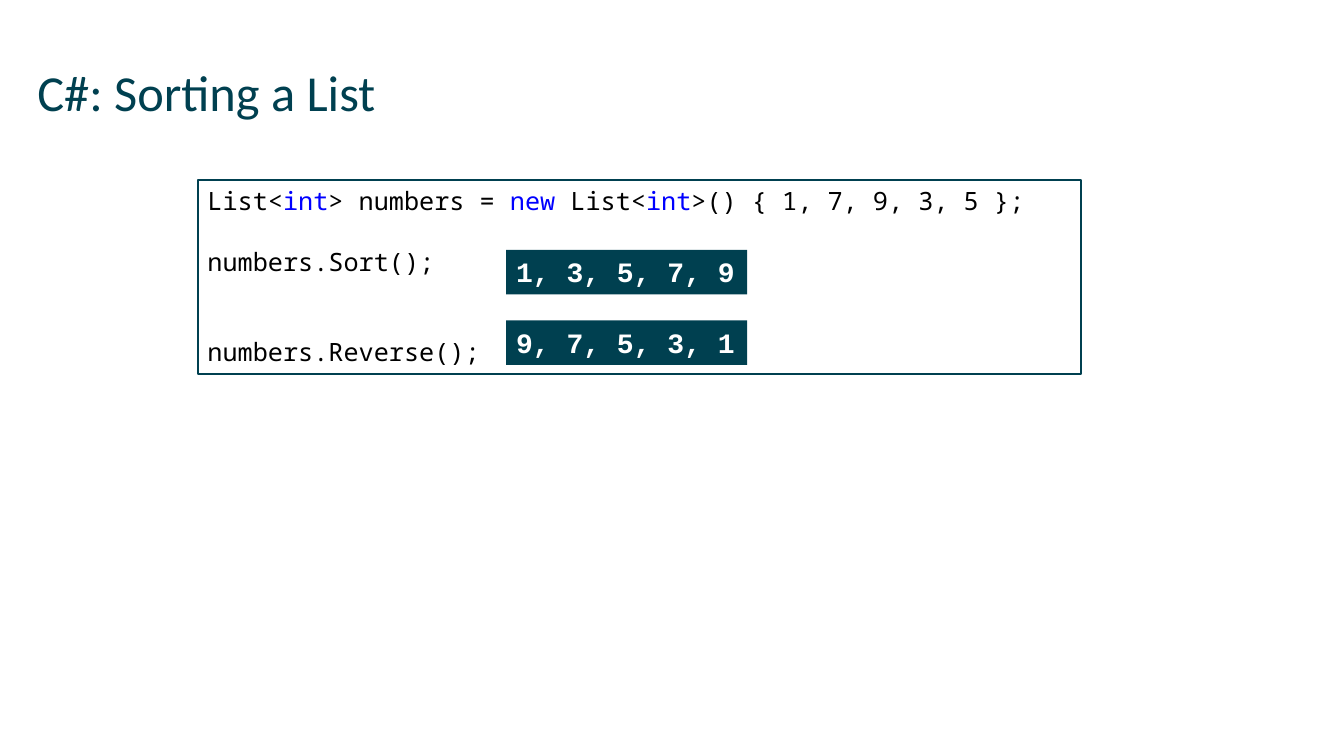
import pptx
import pptx.util
import pptx.dml.color
import pptx.enum.shapes
import pptx.enum.text

Inches, Pt = pptx.util.Inches, pptx.util.Pt

TEAL, WHITE, BLACK, BLUE = "004050", "FFFFFF", "000000", "0000FF"
HEADING = "C#: Sorting a List"
CODE_LINES = [
    (0, [("List<", BLACK), ("int", BLUE), ("> numbers = ", BLACK), ("new", BLUE),
         (" List<", BLACK), ("int", BLUE), (">() { 1, 7, 9, 3, 5 };", BLACK)]),
    (1, [("numbers.Sort();", BLACK)]),
    (2, [("numbers.Reverse();", BLACK)]),
]
RESULTS = ["1, 3, 5, 7, 9", "9, 7, 5, 3, 1"]
HEADING_FONT = {"name": "Calibri", "size": Pt(36), "bold": False}
CODE_FONT = {"name": "Noto Sans Mono", "size": Pt(18)}
RESULT_FONT = {"name": "Courier New", "size": Pt(20), "bold": True}
CODE_LINE_HEIGHT = 21.6
RESULT_TOP, RESULT_STEP = 2.48, 0.7


def rgb(color):
    return pptx.dml.color.RGBColor.from_string(color)


def add_run(paragraph, text, style, color):
    run = paragraph.add_run()
    run.text = text
    for key, value in style.items():
        setattr(run.font, key, value)
    run.font.color.rgb = rgb(color)


def add_panel(slide, box, fill, wrap):
    panel = slide.shapes.add_shape(
        pptx.enum.shapes.MSO_SHAPE.RECTANGLE, *map(Inches, box))
    panel.shadow.inherit = False
    panel.fill.solid()
    panel.fill.fore_color.rgb = rgb(fill)
    panel.text_frame.word_wrap = wrap
    panel.text_frame.vertical_anchor = pptx.enum.text.MSO_ANCHOR.TOP
    panel.text_frame.paragraphs[0].alignment = pptx.enum.text.PP_ALIGN.LEFT
    return panel


def main():
    deck = pptx.Presentation()
    deck.slide_width, deck.slide_height = Inches(13.33), Inches(7.5)
    slide = deck.slides.add_slide(deck.slide_layouts[5])

    heading = slide.shapes.title
    for key, value in zip(("left", "top", "width", "height"), (0.37, 0.61, 12.6, 0.88)):
        setattr(heading, key, Inches(value))
    frame = heading.text_frame
    for side in ("left", "top", "right", "bottom"):
        setattr(frame, f"margin_{side}", 0)
    frame.vertical_anchor = pptx.enum.text.MSO_ANCHOR.TOP
    frame.paragraphs[0].alignment = pptx.enum.text.PP_ALIGN.LEFT
    add_run(frame.paragraphs[0], HEADING, HEADING_FONT, TEAL)

    code = add_panel(slide, (1.96, 1.79, 8.76, 1.92), WHITE, True)
    code.line.color.rgb = rgb(TEAL)
    code.line.width = Pt(1.5)
    for index, (lines_skipped, runs) in enumerate(CODE_LINES):
        paragraph = code.text_frame.add_paragraph() if index else code.text_frame.paragraphs[0]
        paragraph.alignment = pptx.enum.text.PP_ALIGN.LEFT
        paragraph.space_before = Pt(lines_skipped * CODE_LINE_HEIGHT)
        for text, color in runs:
            add_run(paragraph, text, CODE_FONT, color)

    for index, numbers in enumerate(RESULTS):
        top = RESULT_TOP + index * RESULT_STEP
        result = add_panel(slide, (5.02, top, 2.39, 0.44), TEAL, False)
        result.line.fill.background()
        add_run(result.text_frame.paragraphs[0], numbers, RESULT_FONT, WHITE)

    deck.save("out.pptx")


if __name__ == "__main__":
    main()
